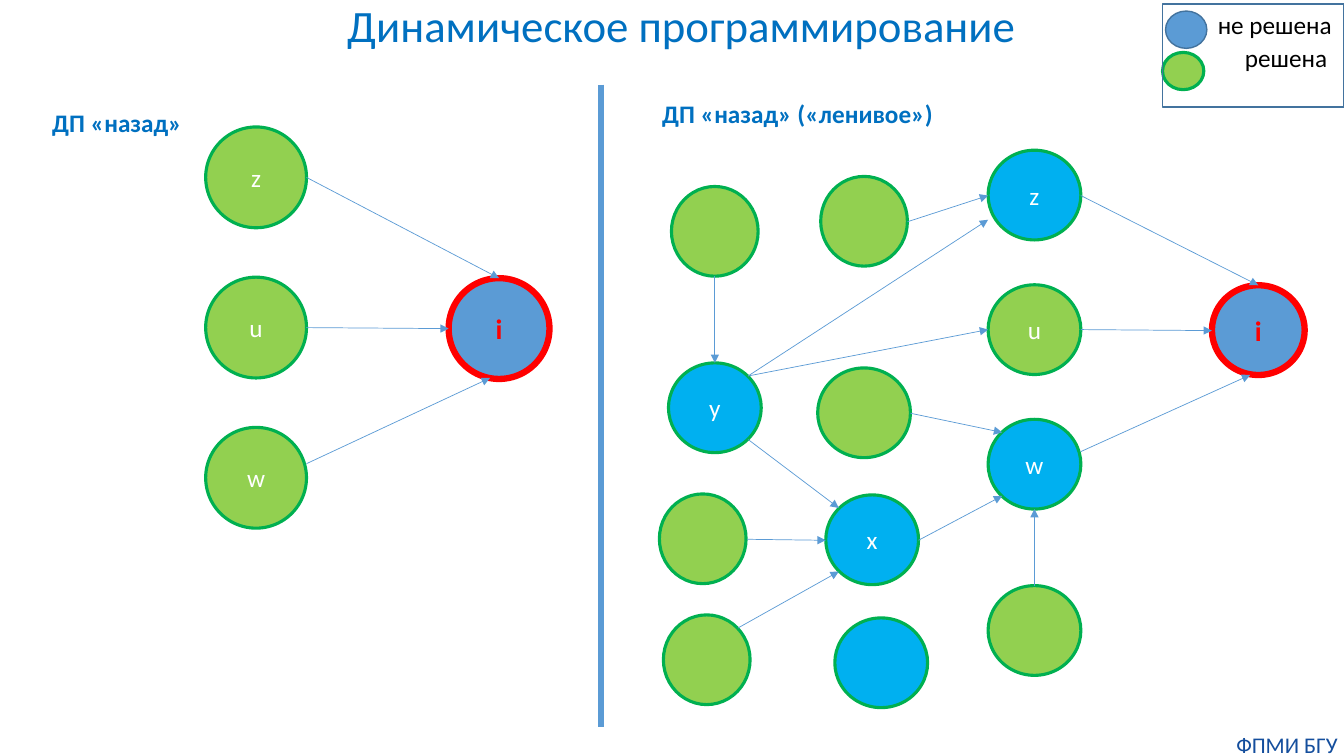
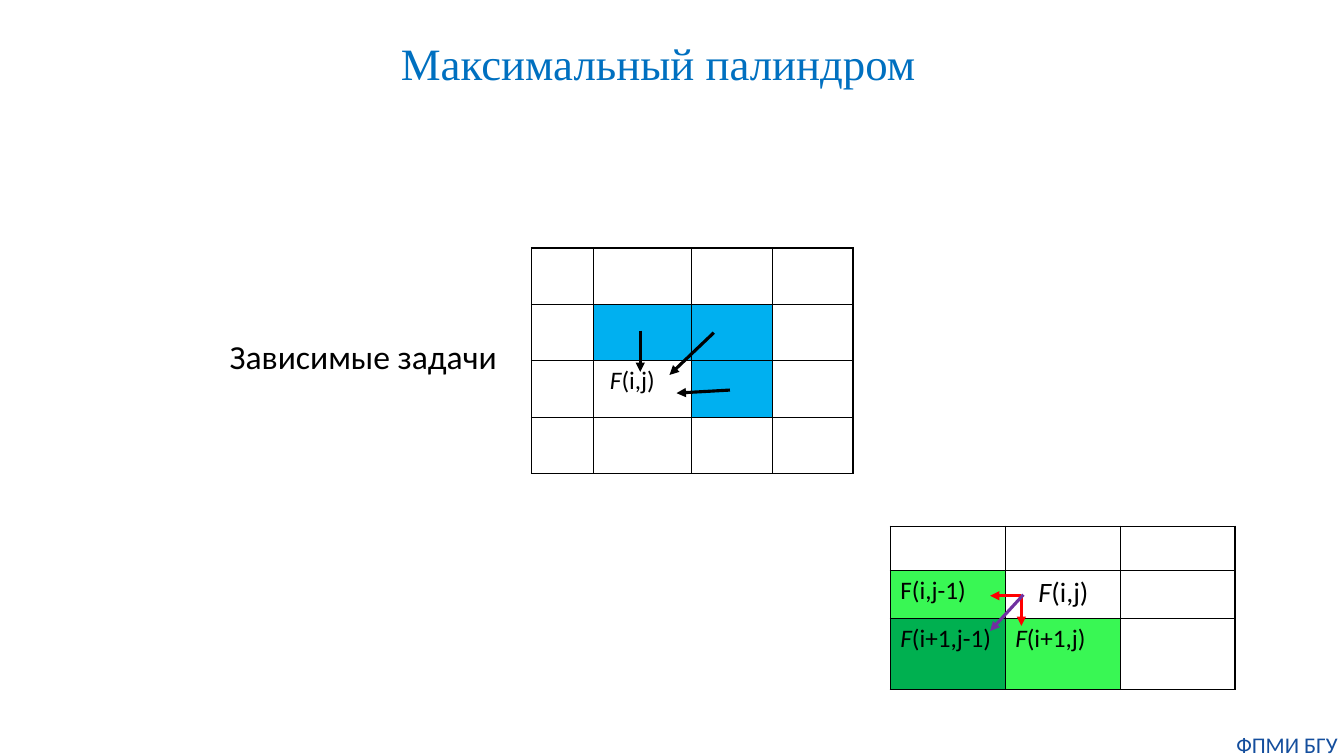
from lxml.etree import SubElement
from pptx import Presentation
from pptx.dml.color import RGBColor
from pptx.enum.shapes import MSO_CONNECTOR, MSO_SHAPE
from pptx.enum.text import MSO_ANCHOR, PP_ALIGN
from pptx.oxml import parse_xml
from pptx.oxml.ns import nsdecls, qn
from pptx.util import Inches, Pt

HEX = {
    "title": "0070C0", "foot": "144E9D", "line": "5B9BD5", "edge": "43739E",
    "open": "5B9BD5", "done": "92D050", "ring": "00B050", "lazy": "00B0F0",
    "red": "FF0000", "violet": "7030A0", "black": "000000", "white": "FFFFFF",
    "lime": "39F754", "green": "00B050",
}
RGB = {name: RGBColor.from_string(code) for name, code in HEX.items()}


def label(slide, box, text, size, color, bold=False):
    shape = slide.shapes.add_textbox(*map(Inches, box))
    frame = shape.text_frame
    frame.word_wrap = True
    frame.text = text
    font = frame.paragraphs[0].runs[0].font
    font.name, font.size, font.bold = "Calibri", Pt(size), bold
    font.color.rgb = RGB[color]
    return frame


def link(slide, ends, color, width, head=True):
    line = slide.shapes.add_connector(MSO_CONNECTOR.STRAIGHT, *map(Inches, ends))
    line.line.color.rgb = RGB[color]
    line.line.width = Pt(width)
    if head:
        SubElement(line.line._get_or_add_ln(), qn("a:tailEnd"), type="triangle")
    SubElement(line._element.spPr, qn("a:effectLst"))


deck = Presentation()
deck.slide_width, deck.slide_height = Inches(13.33), Inches(7.5)

titles = [
    ("Динамическое программирование", "Calibri", 0.8, (1.94, 0.01, 9.64, 0.57)),
    ("Максимальный палиндром", "Times New Roman", 0.9, (0.78, 0.29, 11.5, 0.72)),
]
slides = []
for text, face, space, box in titles:
    slide = deck.slides.add_slide(deck.slide_layouts[5])
    title = slide.shapes.title
    title.left, title.top, title.width, title.height = map(Inches, box)
    frame = title.text_frame
    frame.text = text
    frame.vertical_anchor = MSO_ANCHOR.MIDDLE
    para = frame.paragraphs[0]
    para.alignment = PP_ALIGN.CENTER
    para.line_spacing = space
    font = para.runs[0].font
    font.name, font.size = face, Pt(32)
    font.color.rgb = RGB["title"]

    foot = label(slide, (12.2, 7.25, 1.13, 0.27), "ФПМИ БГУ", 16, "foot")
    foot.margin_left = foot.margin_right = foot.margin_top = foot.margin_bottom = 0
    foot.paragraphs[0].alignment = PP_ALIGN.CENTER
    slides.append(slide)

graph, grid = slides

link(graph, (5.96, 0.84, 5.96, 7.21), "line", 4.5, head=False)
label(graph, (0.42, 1.02, 1.6, 0.4), "ДП «назад»", 18, "title", True)
label(graph, (6.47, 0.93, 3, 0.4), "ДП «назад» («ленивое»)", 18, "title", True)

WIDE, SLIM, TALL = 0.92, 0.86, 0.89
nodes = [
    ("i", 4.45, 2.76, 1, 1, "open"),
    ("i", 12.02, 2.83, WIDE, TALL, "open"),
    ("x", 8.19, 4.91, WIDE, TALL, "lazy"),
    ("y", 6.63, 3.6, WIDE, TALL, "lazy"),
    ("", 8.28, 6.13, WIDE, TALL, "lazy"),
    ("", 8.11, 3.65, WIDE, TALL, "done"),
    ("", 9.8, 5.81, WIDE, TALL, "done"),
    ("", 6.58, 6.1, SLIM, TALL, "done"),
    ("", 6.54, 4.9, SLIM, TALL, "done"),
    ("", 6.66, 1.85, SLIM, TALL, "done"),
    ("", 8.14, 1.75, SLIM, TALL, "done"),
    ("", 11.56, 0.11, 0.41, 0.37, "open"),
    ("", 11.53, 0.52, 0.41, 0.37, "done"),
]
for row, (name, fill) in enumerate([("z", "lazy"), ("u", "done"), ("w", "lazy")]):
    nodes.append((name, 2.04, 1.26 + 1.49 * row, 1, 1, "done"))
    nodes.append((name, 9.8, 1.49 + 1.335 * row, WIDE, TALL, fill))

for name, left, top, width, height, fill in nodes:
    node = graph.shapes.add_shape(
        MSO_SHAPE.OVAL, *map(Inches, (left, top, width, height)))
    node.shadow.inherit = False
    node.fill.solid()
    node.fill.fore_color.rgb = RGB[fill]
    goal = name == "i"
    edge, weight = ("red", 4.5) if goal else ("ring", 2.25)
    if fill == "open" and not goal:
        edge, weight = "edge", 1
    node.line.color.rgb = RGB[edge]
    node.line.width = Pt(weight)
    if name:
        frame = node.text_frame
        frame.text = name
        frame.vertical_anchor = MSO_ANCHOR.MIDDLE
        para = frame.paragraphs[0]
        para.alignment = PP_ALIGN.CENTER
        font = para.runs[0].font
        font.name, font.size, font.bold = "Calibri", Pt(20 if goal else 18), goal
        font.color.rgb = RGB["red" if goal else "white"]

for ends in [
    (3.04, 1.76, 4.95, 2.76), (3.04, 3.25, 4.45, 3.26), (3.04, 4.6, 4.86, 3.75),
    (10.72, 1.94, 12.48, 2.83), (10.72, 3.27, 12.02, 3.28),
    (10.72, 4.48, 12.4, 3.72), (9.11, 5.36, 9.94, 4.92),
    (7.42, 4.36, 8.32, 5.04), (7.42, 3.73, 9.8, 3.27),
    (7.42, 3.73, 9.8, 2.18), (9.03, 4.1, 9.94, 4.29),
    (7.32, 6.23, 8.32, 5.67), (7.41, 5.35, 8.19, 5.36),
    (7.09, 2.74, 7.09, 3.6), (10.26, 5.81, 10.26, 5.05),
    (9, 2.2, 9.8, 1.94),
]:
    link(graph, ends, "line", 0.5)

label(graph, (11.98, 0.04, 1.6, 0.4), "не решена", 18, "black")
label(graph, (12.25, 0.37, 1.3, 0.4), "решена", 18, "black")
key = graph.shapes.add_shape(
    MSO_SHAPE.RECTANGLE, *map(Inches, (11.53, 0.04, 1.8, 1.02)))
key.shadow.inherit = False
key.fill.background()
key.line.color.rgb = RGB["edge"]
key.line.width = Pt(1)

label(grid, (2.18, 3.28, 3, 0.5), "Зависимые задачи", 24, "black")

tables = [
    ((5.27, 2.46), (0.62, 0.97, 0.8, 0.8), (0.56,) * 4,
     {(1, 1): "lazy", (1, 2): "lazy", (2, 2): "lazy"},
     {(2, 1): ("F", "(i,j)", 18, 0.16)}),
    ((8.83, 5.22), (1.14,) * 3, (0.44, 0.48, 0.7),
     {(1, 0): "lime", (2, 0): "green", (2, 1): "lime"},
     {(1, 0): ("", "F(i,j-1)", 18, 0.1), (1, 1): ("F", "(i,j)", 20, 0.33),
      (2, 0): ("F", "(i+1,j-1)", 18, 0.1), (2, 1): ("F", "(i+1,j)", 18, 0.1)}),
]
for spot, cols, rows, fills, texts in tables:
    box = (*spot, sum(cols), sum(rows))
    table = grid.shapes.add_table(len(rows), len(cols), *map(Inches, box)).table
    table.first_row = table.horz_banding = False
    for col, width in zip(table.columns, cols):
        col.width = Inches(width)
    for r, height in enumerate(rows):
        table.rows[r].height = Inches(height)
        for c in range(len(cols)):
            cell = table.cell(r, c)
            cell.fill.solid()
            cell.fill.fore_color.rgb = RGB[fills.get((r, c), "white")]
            if (r, c) in texts:
                lead, rest, size, inset = texts[r, c]
                cell.margin_left = Inches(inset)
                cell.margin_right = 0
                for part, slant in ((lead, True), (rest, False)):
                    if part:
                        run = cell.text_frame.paragraphs[0].add_run()
                        run.text = part
                        font = run.font
                        font.name, font.size, font.italic = "Calibri", Pt(size), slant
                        font.color.rgb = RGB["black"]
            props = cell._tc.get_or_add_tcPr()
            for n, side in enumerate("LRTB"):
                props.insert(n, parse_xml(
                    f'<a:ln{side} {nsdecls("a")} w="12700"><a:solidFill>'
                    f'<a:srgbClr val="{HEX["black"]}"/></a:solidFill></a:ln{side}>'))

for ends, color in [
    ((7.08, 3.3, 6.64, 3.72), "black"),
    ((7.24, 3.87, 6.71, 3.9), "black"),
    ((6.35, 3.28, 6.35, 3.69), "black"),
    ((10.13, 5.91, 9.82, 5.91), "red"),
    ((10.13, 5.91, 10.13, 6.21), "red"),
    ((10.15, 5.9, 9.82, 6.26), "violet"),
]:
    link(grid, ends, color, 2.25)

deck.save("out.pptx")
